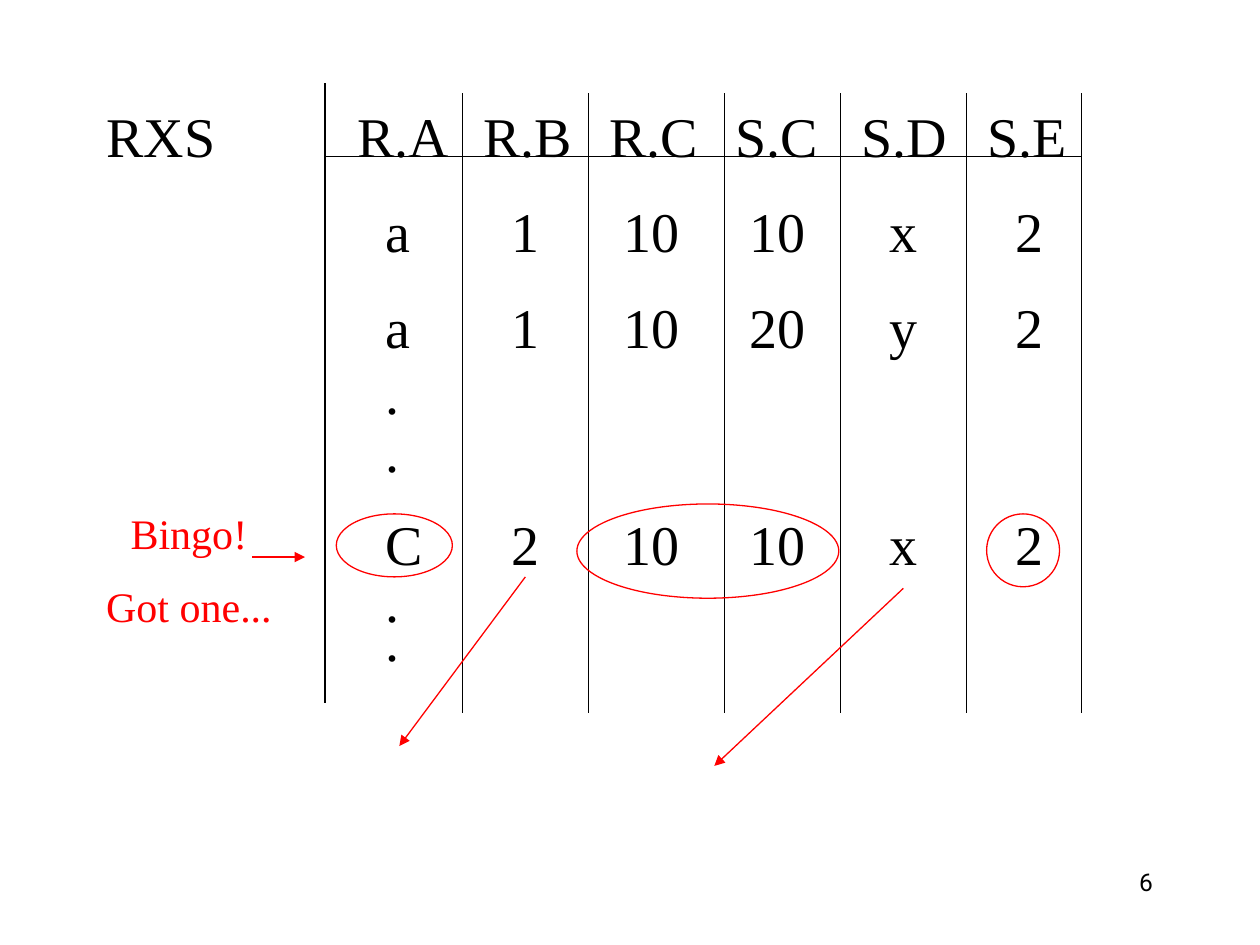
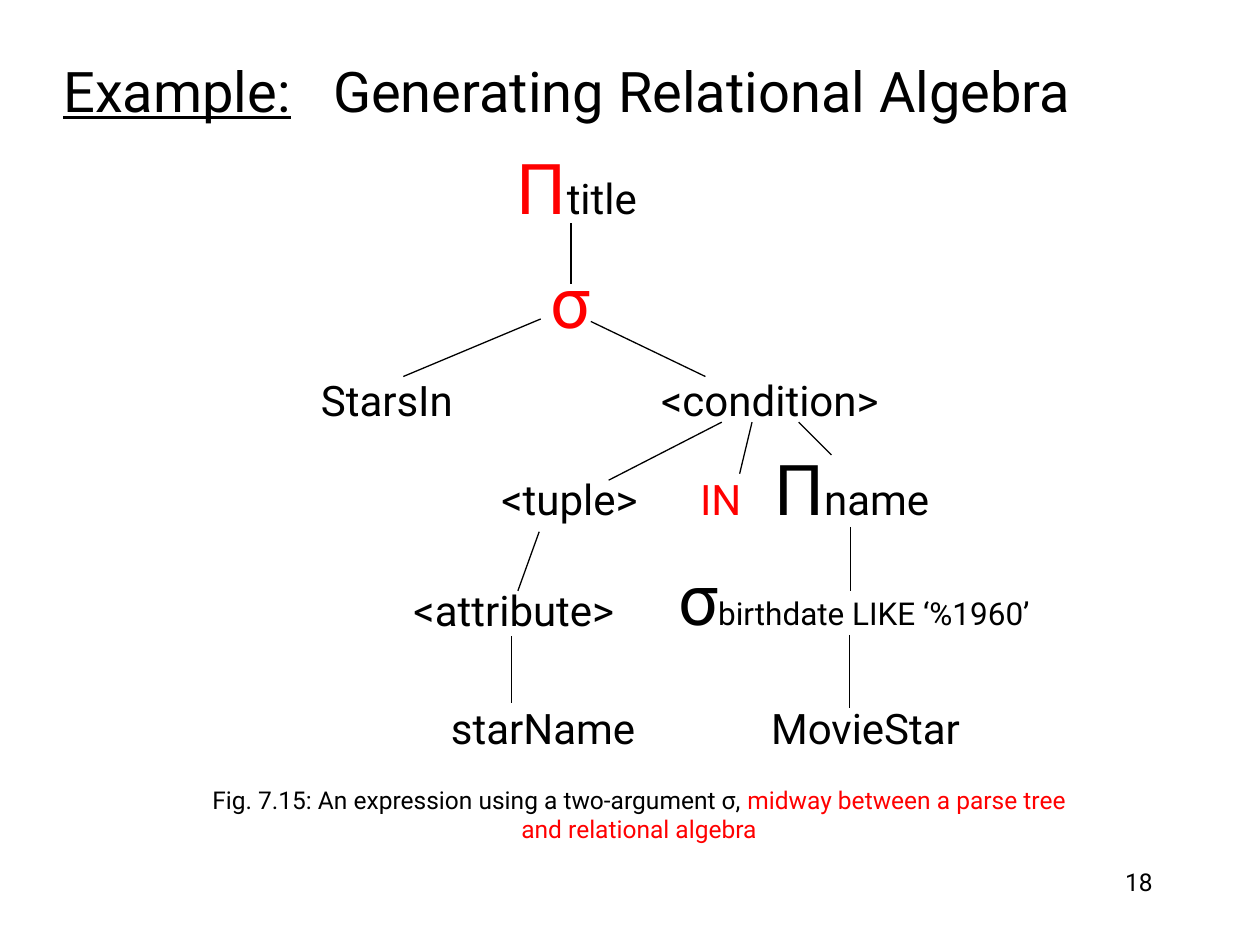
from lxml import etree
from pptx import Presentation
from pptx.dml.color import RGBColor
from pptx.enum import shapes, text
from pptx.oxml import ns
from pptx.util import Cm, Pt

BLACK, RED = "000000", "FF0000"
SANS, SERIF = "Roboto", "Times New Roman"
LEFT, CENTER, RIGHT = text.PP_ALIGN.LEFT, text.PP_ALIGN.CENTER, text.PP_ALIGN.RIGHT
TOP, MIDDLE = text.MSO_ANCHOR.TOP, text.MSO_ANCHOR.MIDDLE


def write(para, words, size=24, color=BLACK, font=SANS, align=LEFT, underline=False):
    para.alignment = align
    span = para.add_run()
    span.text = words
    span.font.name = font
    span.font.size = Pt(size)
    span.font.underline = underline
    span.font.color.rgb = RGBColor.from_string(color)


def draw_line(page, x1, y1, x2, y2, color=BLACK, arrow=False):
    line = page.shapes.add_connector(
        shapes.MSO_CONNECTOR.STRAIGHT, Cm(x1), Cm(y1), Cm(x2), Cm(y2))
    line.line.color.rgb = RGBColor.from_string(color)
    line.line.width = Pt(0.75)
    properties = line._element.spPr
    if arrow:
        outline = properties.find(ns.qn("a:ln"))
        etree.SubElement(outline, ns.qn("a:tailEnd"), type="triangle")
    etree.SubElement(properties, ns.qn("a:effectLst"))


deck = Presentation()
deck.slide_width, deck.slide_height = Cm(25.4), Cm(19.05)
product_page = deck.slides.add_slide(deck.slide_layouts[6])
tree_page = deck.slides.add_slide(deck.slide_layouts[5])

# Product page: table of R x S, dots stand for rows left out
rows = [
    ["RXS", "R.A", "R.B", "R.C", "S.C", "S.D", "S.E"],
    ["", "a", "1", "10", "10", "x", "2"],
    ["", "a", "1", "10", "20", "y", "2"],
    ["", ".\n."],
    ["", "C", "2", "10", "10", "x", "2"],
    ["", ".\n."],
]
row_heights = [1.93, 1.93, 1.42, 2.95, 1.63, 1.9]
dot_spacing = {3: 33, 5: 22}
column_widths = [5.06] + [2.54] * 6
indents = {1: 0.56, 2: 0.28, 3: 0}

table = product_page.shapes.add_table(
    len(rows), len(column_widths), Cm(2.15), Cm(2.16),
    Cm(sum(column_widths)), Cm(sum(row_heights))).table
table.first_row = table.horz_banding = False
for column, width in zip(table.columns, column_widths):
    column.width = Cm(width)
for r, height in enumerate(row_heights):
    table.rows[r].height = Cm(height)
    for c in range(len(column_widths)):
        cell = table.cell(r, c)
        cell.fill.background()
        cell.margin_left = cell.margin_right = cell.margin_top = cell.margin_bottom = 0
        value = rows[r][c] if c < len(rows[r]) else ""
        if not value:
            continue
        lines = value.split("\n")
        cell.margin_left = Cm(indents[len(lines[0])])
        for i, words in enumerate(lines):
            para = cell.text_frame.add_paragraph() if i else cell.text_frame.paragraphs[0]
            write(para, words, size=32, font=SERIF)
            if r in dot_spacing:
                para.line_spacing = Pt(dot_spacing[r])

# Product page: rules of the table
draw_line(product_page, 6.55, 3.15, 21.8, 3.15)
draw_line(product_page, 6.55, 1.68, 6.55, 14.17)
for x in (9.32, 11.86, 14.6, 16.94, 19.48, 21.8):
    draw_line(product_page, x, 1.88, x, 14.38)

# Product page: red rings and arrows on the matching row
for left, top, width, height in [(19.89, 10.36, 1.47, 1.47),
                                 (11.63, 10.16, 5.28, 1.9),
                                 (6.78, 10.36, 2.34, 1.27)]:
    ring = product_page.shapes.add_shape(
        shapes.MSO_SHAPE.OVAL, Cm(left), Cm(top), Cm(width), Cm(height))
    ring.shadow.inherit = False
    ring.fill.background()
    ring.line.color.rgb = RGBColor.from_string(RED)
    ring.line.width = Pt(0.75)
for ends in [(10.59, 11.63, 8.05, 15.04),
             (18.21, 11.86, 14.4, 15.44),
             (5.08, 11.23, 6.15, 11.23)]:
    draw_line(product_page, *ends, color=RED, arrow=True)

# Tree page: title, with a tab stop after the underlined word
title = tree_page.shapes.title
title.left, title.top, title.width, title.height = Cm(1.02), Cm(0.58), Cm(23.27), Cm(2.46)
title.text_frame.auto_size = text.MSO_AUTO_SIZE.NONE
title.text_frame.vertical_anchor = MIDDLE
para = title.text_frame.paragraphs[0]
write(para, "Example:", size=32, underline=True)
write(para, "\tGenerating Relational Algebra", size=32)
tabs = etree.SubElement(para._p.get_or_add_pPr(), ns.qn("a:tabLst"))
etree.SubElement(tabs, ns.qn("a:tab"), pos=str(Cm(5.44)), algn="l")

# Tree page: branches
for ends in [(11.51, 4.5, 11.51, 5.72),
             (10.9, 6.43, 8.13, 7.59),
             (11.91, 6.48, 14.22, 7.59),
             (14.55, 8.51, 12.27, 9.68),
             (15.16, 8.51, 14.91, 9.55),
             (16.1, 8.51, 16.76, 9.17),
             (10.87, 10.72, 10.44, 11.91),
             (10.31, 12.83, 10.31, 14.17),
             (17.15, 10.62, 17.15, 11.91),
             (17.12, 12.8, 17.12, 14.27)]:
    draw_line(tree_page, *ends)

# Tree page: nodes as centre x, centre y, width, spans (words, size, colour)
nodes = [
    (11.63, 3.77, 3.0, [("Π", 40, RED), ("title", 24, BLACK)]),
    (11.5, 6.06, 1.37, [("σ", 40, RED)]),
    (7.8, 8.05, 3.2, [("StarsIn", 24, BLACK)]),
    (15.52, 8.05, 4.9, [("<condition>", 24, BLACK)]),
    (11.48, 10.05, 3.3, [("<tuple>", 24, BLACK)]),
    (14.53, 10.05, 1.4, [("IN", 24, RED)]),
    (17.17, 9.82, 3.7, [("Π", 40, BLACK), ("name", 24, BLACK)]),
    (10.36, 12.29, 4.6, [("<attribute>", 24, BLACK)]),
    (17.22, 12.05, 7.6, [("σ", 40, BLACK), ("birthdate LIKE ‘%1960’", 18, BLACK)]),
    (10.95, 14.68, 4.3, [("starName", 24, BLACK)]),
    (17.45, 14.68, 4.4, [("MovieStar", 24, BLACK)]),
]

# Text boxes of both pages: page, place, font, align, anchor, wrap, paragraphs of spans
number_place = (18.21, 17.35, 5.28, 1.27)
boxes = [
    (product_page, number_place, SANS, RIGHT, TOP, True, [[("6", 14, BLACK)]]),
    (tree_page, number_place, SANS, RIGHT, TOP, True, [[("18", 14, BLACK)]]),
    (product_page, (1.88, 10.08, 3.86, 2.79), SERIF, CENTER, MIDDLE, False,
     [[("Bingo!", 24, RED)], [("Got one...", 24, RED)]]),
    (tree_page, (3.73, 15.7, 18.31, 1.45), SANS, CENTER, TOP, True,
     [[("Fig. 7.15: An expression using a two-argument σ, ", 14, BLACK),
       ("midway between a parse tree and relational algebra", 14, RED)]]),
]
for x, y, width, spans in nodes:
    height = 1.96 if spans[0][1] == 40 else 1.27
    place = (x - width / 2, y - height / 2, width, height)
    boxes.append((tree_page, place, SANS, CENTER, MIDDLE, False, [spans]))

for page, place, font, align, anchor, wrap, paragraphs in boxes:
    frame = page.shapes.add_textbox(*[Cm(length) for length in place]).text_frame
    frame.word_wrap = wrap
    frame.vertical_anchor = anchor
    for i, spans in enumerate(paragraphs):
        para = frame.add_paragraph() if i else frame.paragraphs[0]
        if i:
            para.space_before = Pt(13)
        for words, size, color in spans:
            write(para, words, size=size, color=color, font=font, align=align)

deck.save("out.pptx")
